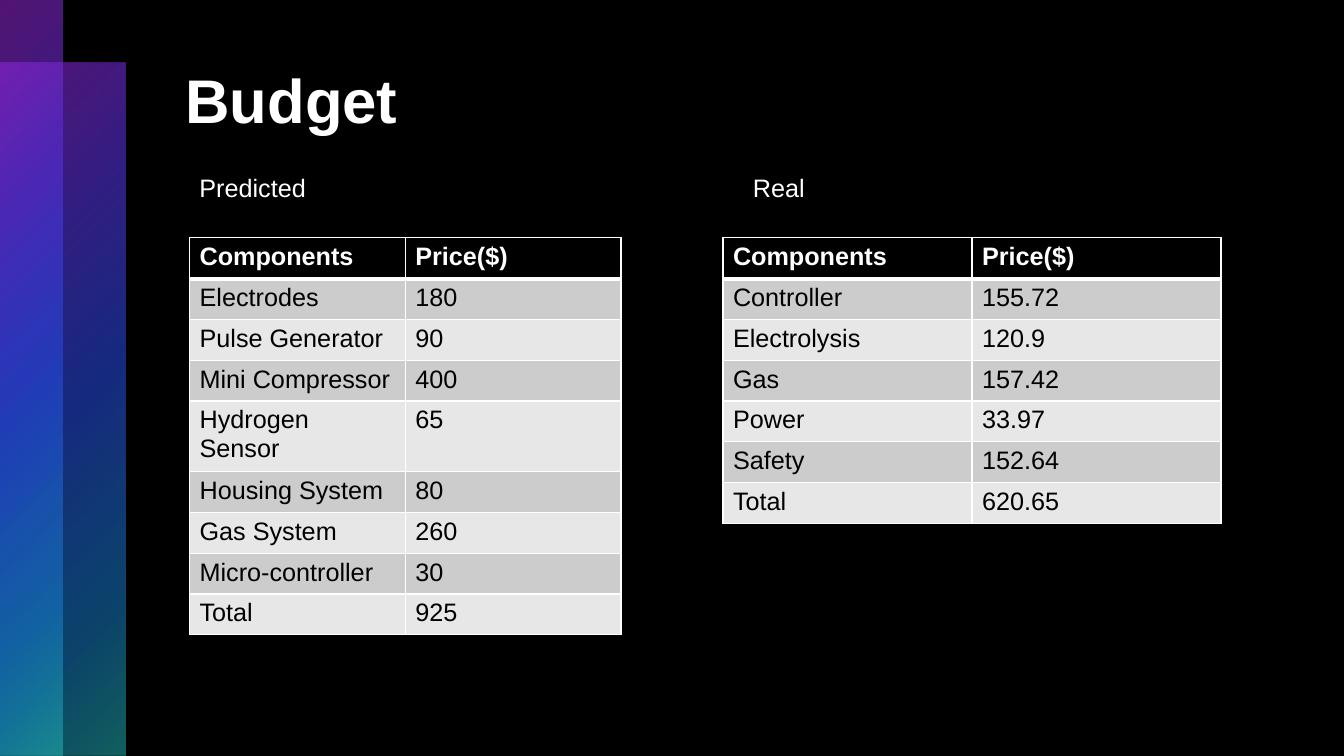
from lxml import etree
from pptx import Presentation
from pptx.dml.color import RGBColor
from pptx.enum.shapes import MSO_SHAPE as Shape
from pptx.oxml import parse_xml
from pptx.oxml.ns import nsdecls, qn
from pptx.util import Inches, Pt

BLACK = RGBColor(0x00, 0x00, 0x00)
WHITE = RGBColor(0xFF, 0xFF, 0xFF)
DARK_BAND = RGBColor(0xCC, 0xCC, 0xCC)
LIGHT_BAND = RGBColor(0xE7, 0xE7, 0xE7)
# Position (%), colour, opacity (%)
BAR_STOPS = [
    (0, RGBColor(0xA5, 0x29, 0xE7), 50),
    (25, RGBColor(0x58, 0x30, 0xD9), 60),
    (50, RGBColor(0x29, 0x4B, 0xE7), 55),
    (81, RGBColor(0x17, 0x88, 0xD5), 50),
    (99, RGBColor(0x22, 0xBF, 0xBD), 50),
]


def add_text(paragraph, text, size, color, bold=False):
    run = paragraph.add_run()
    run.text = text
    run.font.name = "Arial"
    run.font.size = Pt(size)
    run.font.bold = bold
    run.font.color.rgb = color


def set_borders(cell, top, bottom):
    widths = {"lnL": 1, "lnR": 1, "lnT": top, "lnB": bottom}
    properties = cell._tc.get_or_add_tcPr()
    for index, (side, width) in enumerate(widths.items()):
        properties.insert(index, parse_xml(
            f'<a:{side} {nsdecls("a")} w="{Pt(width)}"><a:solidFill>'
            f'<a:srgbClr val="{WHITE}"/></a:solidFill></a:{side}>'))


presentation = Presentation()
presentation.slide_width = Inches(13.33)
presentation.slide_height = Inches(7.5)
slide = presentation.slides.add_slide(presentation.slide_layouts[6])
slide.background.fill.solid()
slide.background.fill.fore_color.rgb = BLACK

# Overlapping gradient bars on the left edge
stops = "".join(
    f'<a:gs pos="{position * 1000}"><a:srgbClr val="{color}">'
    f'<a:alpha val="{opacity * 1000}"/></a:srgbClr></a:gs>'
    for position, color, opacity in BAR_STOPS)
for top, width, height in [(0.62, 1.24, 6.88), (0, 0.62, 7.5)]:
    bar = slide.shapes.add_shape(
        Shape.RECTANGLE, 0, Inches(top), Inches(width), Inches(height))
    bar.shadow.inherit = False
    bar.line.fill.background()
    bar._element.spPr.find(qn("a:prstGeom")).addnext(parse_xml(
        f'<a:gradFill {nsdecls("a")} rotWithShape="1"><a:gsLst>{stops}</a:gsLst>'
        '<a:path path="circle"><a:fillToRect r="100000" b="100000"/></a:path>'
        '</a:gradFill>'))

# Title
title = slide.shapes.add_textbox(
    Inches(1.74), Inches(0.5), Inches(10.37), Inches(1.7))
title.text_frame.word_wrap = True
title.text_frame.margin_top = Inches(0.11)
add_text(title.text_frame.paragraphs[0], "Budget", 44, WHITE, bold=True)

# Budget tables
predicted = [
    ("Components", "Price($)"),
    ("Electrodes", "180"),
    ("Pulse Generator", "90"),
    ("Mini Compressor", "400"),
    ("Hydrogen Sensor", "65"),
    ("Housing System", "80"),
    ("Gas System", "260"),
    ("Micro-controller", "30"),
    ("Total", "925"),
]
real = [
    ("Components", "Price($)"),
    ("Controller", "155.72"),
    ("Electrolysis", "120.9"),
    ("Gas", "157.42"),
    ("Power", "33.97"),
    ("Safety", "152.64"),
    ("Total", "620.65"),
]
ROW_HEIGHT = 0.405
for rows, left, column_width in [(predicted, 1.88, 2.14), (real, 7.17, 2.47)]:
    table = slide.shapes.add_table(
        len(rows), 2, Inches(left), Inches(2.36),
        Inches(2 * column_width), Inches(ROW_HEIGHT * len(rows))).table
    for row_index, values in enumerate(rows):
        header = row_index == 0
        band = DARK_BAND if row_index % 2 else LIGHT_BAND
        for column_index, value in enumerate(values):
            cell = table.cell(row_index, column_index)
            cell.fill.solid()
            cell.fill.fore_color.rgb = BLACK if header else band
            set_borders(cell, top=3 if row_index == 1 else 1,
                        bottom=3 if header else 1)
            add_text(cell.text_frame.paragraphs[0], value, 18,
                     WHITE if header else BLACK, bold=header)

# Table labels, the second one at a tab stop
labels = slide.shapes.add_textbox(
    Inches(1.88), Inches(1.63), Inches(10.23), Inches(0.71))
labels.text_frame.word_wrap = True
paragraph = labels.text_frame.paragraphs[0]
paragraph.line_spacing = 1.1
tab_list = etree.SubElement(paragraph._p.get_or_add_pPr(), qn("a:tabLst"))
etree.SubElement(tab_list, qn("a:tab"), pos=str(Inches(5.49)), algn="l")
add_text(paragraph, "Predicted\tReal", 18, WHITE)

presentation.save("out.pptx")
